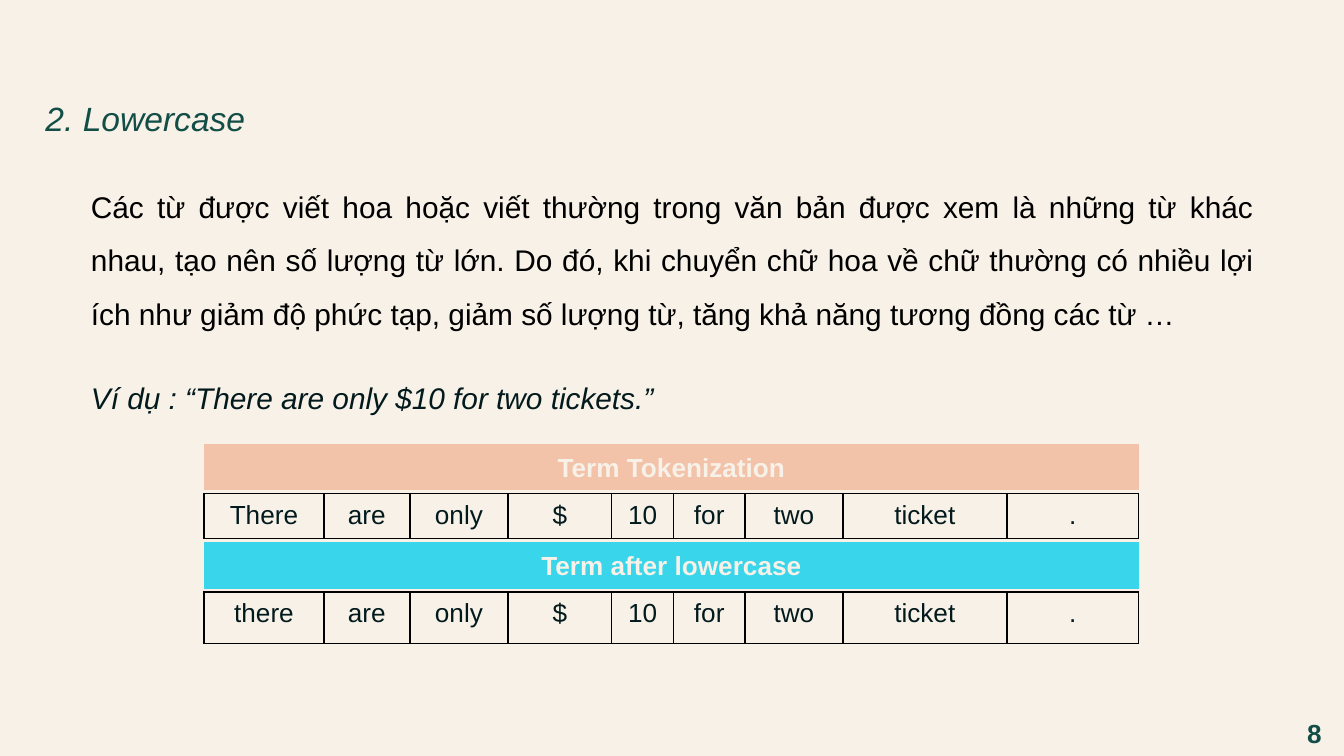
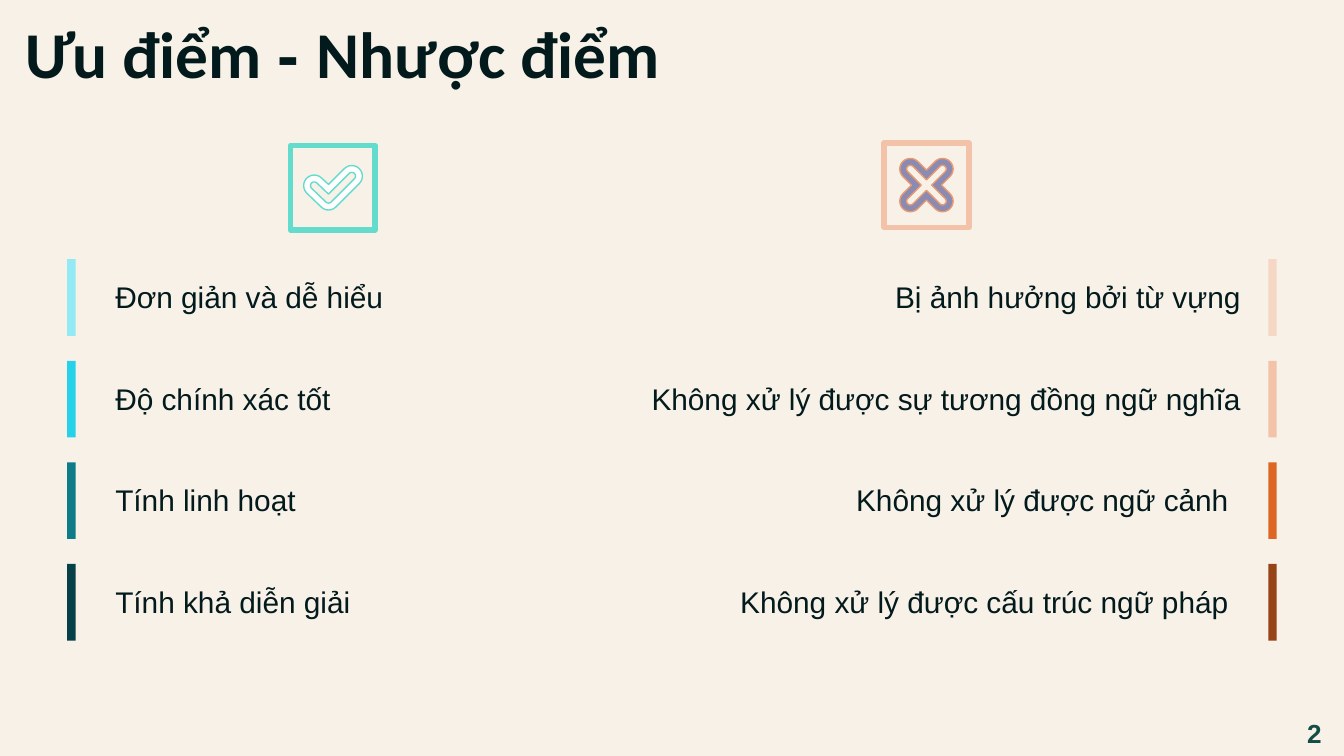
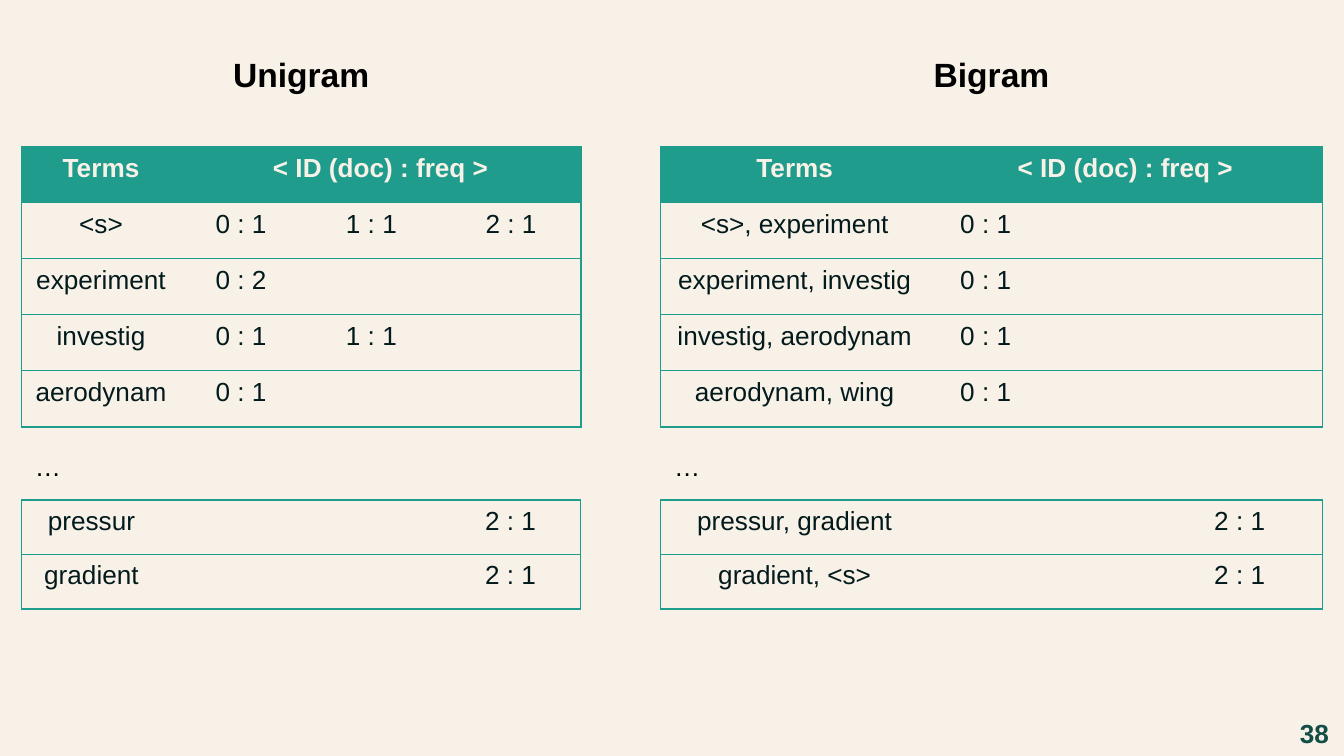
from dataclasses import dataclass
from math import cos, radians, sin, sqrt

from lxml.etree import SubElement
from pptx import Presentation
from pptx.dml.color import RGBColor
from pptx.enum.shapes import MSO_SHAPE
from pptx.enum.text import MSO_ANCHOR, PP_ALIGN
from pptx.oxml.ns import qn
from pptx.util import Cm, Pt


@dataclass(frozen=True)
class Theme:
    paper: str = "F8F1E8"
    ink: str = "031A1D"
    black: str = "000000"
    green: str = "124E46"
    teal: str = "1F9C8C"
    peach: str = "F2C2A9"
    cyan: str = "39D5EA"
    mint: str = "63DCCD"
    white: str = "FFFFFF"
    violet: str = "8A8AB2"
    orange: str = "E99A6F"
    pros: tuple = ("93E9F4", "26D2E9", "0E7B89", "074148")
    cons: tuple = ("F6D7C5", "F2C2A9", "DE6624", "954317")
    font: str = "Arial"
    title_font: str = "Calibri"
    title: int = 35
    heading: int = 18
    body: int = 16
    small: int = 14


T = Theme()


def rgb(color):
    return RGBColor.from_string(color)


def add_run(p, text, size, color, bold=False, italic=False, font=T.font):
    r = p.add_run()
    r.text = text
    r.font.name = font
    r.font.size = Pt(size)
    r.font.bold = bold
    r.font.italic = italic
    r.font.color.rgb = rgb(color)


def add_text(s, box, text, size=T.body, color=T.ink, align=PP_ALIGN.LEFT,
             anchor=MSO_ANCHOR.TOP, spacing=None, **style):
    tf = s.shapes.add_textbox(*map(Cm, box)).text_frame
    tf.word_wrap = True
    tf.vertical_anchor = anchor
    p = tf.paragraphs[0]
    p.alignment = align
    if spacing:
        p.line_spacing = spacing
    if text:
        add_run(p, text, size, color, **style)
    return tf


def paint(sp, fill=None, line=None, width=0.75):
    sp.shadow.inherit = False
    for part, color in ((sp.fill, fill), (sp.line.fill, line)):
        if color:
            part.solid()
            part.fore_color.rgb = rgb(color)
        else:
            part.background()
    if line:
        sp.line.width = Pt(width)


def add_rect(s, box, **look):
    sp = s.shapes.add_shape(MSO_SHAPE.RECTANGLE, *map(Cm, box))
    paint(sp, **look)
    return sp


def set_borders(cell, sides, color, width):
    tcPr = cell._tc.get_or_add_tcPr()
    for side in "LRTB":
        ln = SubElement(tcPr, qn(f"a:ln{side}"), w=str(Pt(width)))
        if side in sides:
            fill = SubElement(ln, qn("a:solidFill"))
            SubElement(fill, qn("a:srgbClr"), val=color)
        else:
            SubElement(ln, qn("a:noFill"))


def add_grid(s, x, y, cols, row_h, rows, color, width=0.75, inner=False, header=False):
    frame = s.shapes.add_table(len(rows), len(cols), Cm(x), Cm(y),
                               Cm(sum(cols)), Cm(row_h * len(rows)))
    table = frame.table
    table.first_row = table.horz_banding = False
    for column, w in zip(table.columns, cols):
        column.width = Cm(w)
    if header:
        table.cell(0, 1).merge(table.cell(0, len(cols) - 1))
    for i, row in enumerate(rows):
        table.rows[i].height = Cm(row_h)
        head = header and i == 0
        for j, text in enumerate(row):
            cell = table.cell(i, j)
            left = inner or j == 0
            right = inner or j == len(cols) - 1 or cell.is_merge_origin
            set_borders(cell, "TB" + "L" * left + "R" * right, color, width)
            if head:
                cell.fill.solid()
                cell.fill.fore_color.rgb = rgb(color)
            else:
                cell.fill.background()
            p = cell.text_frame.paragraphs[0]
            p.alignment = PP_ALIGN.CENTER
            if text:
                add_run(p, text, T.small, T.paper if head else T.ink, bold=head)


def new_slide(prs, number):
    s = prs.slides.add_slide(prs.slide_layouts[6])
    s.background.fill.solid()
    s.background.fill.fore_color.rgb = rgb(T.paper)
    add_text(s, (24.28, 13.44, 1.12, 0.86), str(number), T.small, T.green,
             PP_ALIGN.CENTER, bold=True)
    return s


def token_block(s, x, y, label, color, tokens, row_h):
    cols = (2.26, 1.63, 1.85, 1.96, 1.17, 1.35, 1.85, 3.1, 2.49)
    band = add_rect(s, (x, y, sum(cols), 0.86), fill=color, line=color)
    tf = band.text_frame
    tf.vertical_anchor = MSO_ANCHOR.MIDDLE
    p = tf.paragraphs[0]
    p.alignment = PP_ALIGN.CENTER
    add_run(p, label, T.small, T.paper, bold=True)
    add_grid(s, x, y + 0.93, cols, row_h, [tokens], T.black, 1, inner=True)


def lowercase_slide(prs):
    s = new_slide(prs, 8)
    add_text(s, (0.61, 1.35, 13.74, 1.27), "2. Lowercase", T.heading, T.green,
             spacing=1.5, italic=True)
    add_text(s, (1.47, 3.1, 22.48, 3.2),
             "Các từ được viết hoa hoặc viết thường trong văn bản được xem là những từ "
             "khác nhau, tạo nên số lượng từ lớn. Do đó, khi chuyển chữ hoa về chữ thường "
             "có nhiều lợi ích như giảm độ phức tạp, giảm số lượng từ, tăng khả năng "
             "tương đồng các từ …",
             color=T.black, align=PP_ALIGN.JUSTIFY, spacing=1.5)
    add_text(s, (1.47, 7.06, 15.42, 0.94),
             "Ví dụ : “There are only $10 for two tickets.”", italic=True)
    tokens = ["There", "are", "only", "$", "10", "for", "two", "ticket", "."]
    token_block(s, 3.86, 8.4, "Term Tokenization", T.peach, tokens, 0.84)
    token_block(s, 3.86, 10.26, "Term after lowercase", T.cyan,
                [t.lower() for t in tokens], 0.97)


def arc(x, y, radius, start, end):
    steps = 12
    angles = [radians(start + (end - start) * k / steps) for k in range(steps + 1)]
    return [(x + radius * cos(a), y + radius * sin(a)) for a in angles]


def check_outline(radius):
    return (arc(-0.35, -0.04, radius, 135, 315) + [(-0.08, 0.22 - radius * sqrt(2))]
            + arc(0.36, -0.22, radius, 225, 405) + arc(-0.08, 0.22, radius, 45, 135))


def cross_outline(radius):
    points = []
    for angle in range(225, 585, 90):
        x, y = (0.43 * cos(radians(angle)), 0.43 * sin(radians(angle)))
        notch = radians(angle + 45)
        points += arc(x, y, radius, angle - 90, angle + 90)
        points.append((radius * sqrt(2) * cos(notch), radius * sqrt(2) * sin(notch)))
    return points


def icon(s, x, y, outline, frame, fill, line):
    size = 1.6
    add_rect(s, (x, y, size, size), line=frame, width=3)
    outer, hole = ([(Cm(x + size / 2 + dx), Cm(y + size / 2 + dy))
                    for dx, dy in outline(radius)] for radius in (0.2, 0.07))
    builder = s.shapes.build_freeform(*outer[0])
    builder.add_line_segments(outer[1:])
    builder.move_to(*hole[0])
    builder.add_line_segments(hole[1:])
    paint(builder.convert_to_shape(), fill=fill, line=line)


def point_list(s, bar_x, y, colors, points, align):
    for k, (color, (text, x, w)) in enumerate(zip(colors, points)):
        top = y + 1.92 * k
        add_rect(s, (bar_x, top, 0.16, 1.45), fill=color)
        add_text(s, (x, top, w, 1.42), text, align=align, anchor=MSO_ANCHOR.MIDDLE)


def pros_cons_slide(prs):
    s = new_slide(prs, 2)
    tf = add_text(s, (0.23, 0, 13.41, 1.6), "")
    tf.margin_top = tf.margin_bottom = Cm(0.25)
    for text, font in (("Ưu điểm ", T.title_font), ("- ", T.font),
                       ("Nhược điểm", T.title_font)):
        add_run(tf.paragraphs[0], text, T.title, T.ink, bold=True, font=font)
    icon(s, 5.49, 2.75, check_outline, T.mint, T.white, T.mint)
    icon(s, 16.71, 2.7, cross_outline, T.peach, T.violet, T.orange)
    point_list(s, 1.27, 4.9, T.pros, [
        ("Đơn giản và dễ hiểu", 1.93, 5.84),
        ("Độ chính xác tốt", 1.93, 4.95),
        ("Tính linh hoạt", 1.93, 4.27),
        ("Tính khả diễn giải", 1.93, 5.13),
    ], PP_ALIGN.LEFT)
    point_list(s, 23.97, 4.9, T.cons, [
        ("Bị ảnh hưởng bởi từ vựng", 14.33, 9.37),
        ("Không xử lý được sự tương đồng ngữ nghĩa", 11.96, 11.74),
        ("Không xử lý được ngữ cảnh", 14.1, 9.37),
        ("Không xử lý được cấu trúc ngữ pháp", 12.93, 10.54),
    ], PP_ALIGN.RIGHT)


def ngram_panel(s, x, y, name, name_w, cols, rows, end_cols, end_rows):
    add_text(s, (x + (sum(cols) - name_w) / 2, y, name_w, 1.02), name, T.heading,
             T.black, PP_ALIGN.CENTER, bold=True)
    header = ["Terms", "< ID (doc) : freq >", "", ""]
    add_grid(s, x, y + 1.88, cols, 1.06, [header] + rows, T.teal, header=True)
    add_text(s, (x, y + 7.49, 3.02, 0.86), "…", T.small, T.black)
    add_grid(s, x, y + 8.56, end_cols, 1.03, end_rows, T.teal)


def ngram_slide(prs):
    s = new_slide(prs, 38)
    ngram_panel(s, 0.41, 0.89, "Unigram", 3.2, (3, 2.29, 2.64, 2.64), [
        ["<s>", "0 : 1", "1 : 1", "2 : 1"],
        ["experiment", "0 : 2", "", ""],
        ["investig", "0 : 1", "1 : 1", ""],
        ["aerodynam", "0 : 1", "", ""],
    ], (2.64, 2.64, 2.64, 2.64), [
        ["pressur", "", "", "2 : 1"],
        ["gradient", "", "", "2 : 1"],
    ])
    ngram_panel(s, 12.49, 0.89, "Bigram", 2.75, (5.06, 2.16, 2.64, 2.64), [
        ["<s>, experiment", "0 : 1", "", ""],
        ["experiment, investig", "0 : 1", "", ""],
        ["investig, aerodynam", "0 : 1", "", ""],
        ["aerodynam, wing", "0 : 1", "", ""],
    ], (5.06, 1.2, 3.12, 3.12), [
        ["pressur, gradient", "", "", "2 : 1"],
        ["gradient, <s>", "", "", "2 : 1"],
    ])


def main():
    prs = Presentation()
    prs.slide_width, prs.slide_height = Cm(25.4), Cm(14.29)
    lowercase_slide(prs)
    pros_cons_slide(prs)
    ngram_slide(prs)
    prs.save("out.pptx")


if __name__ == "__main__":
    main()
